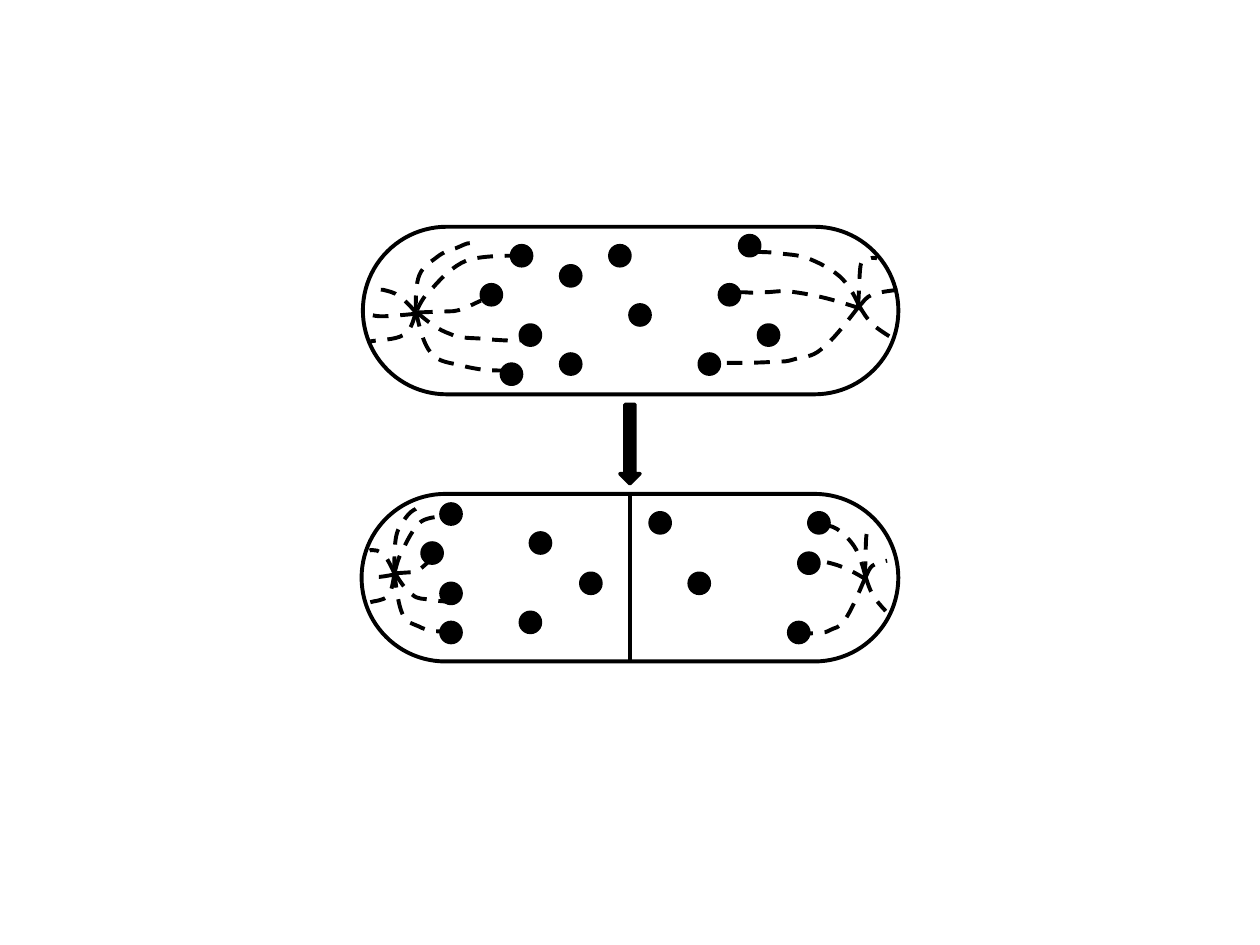
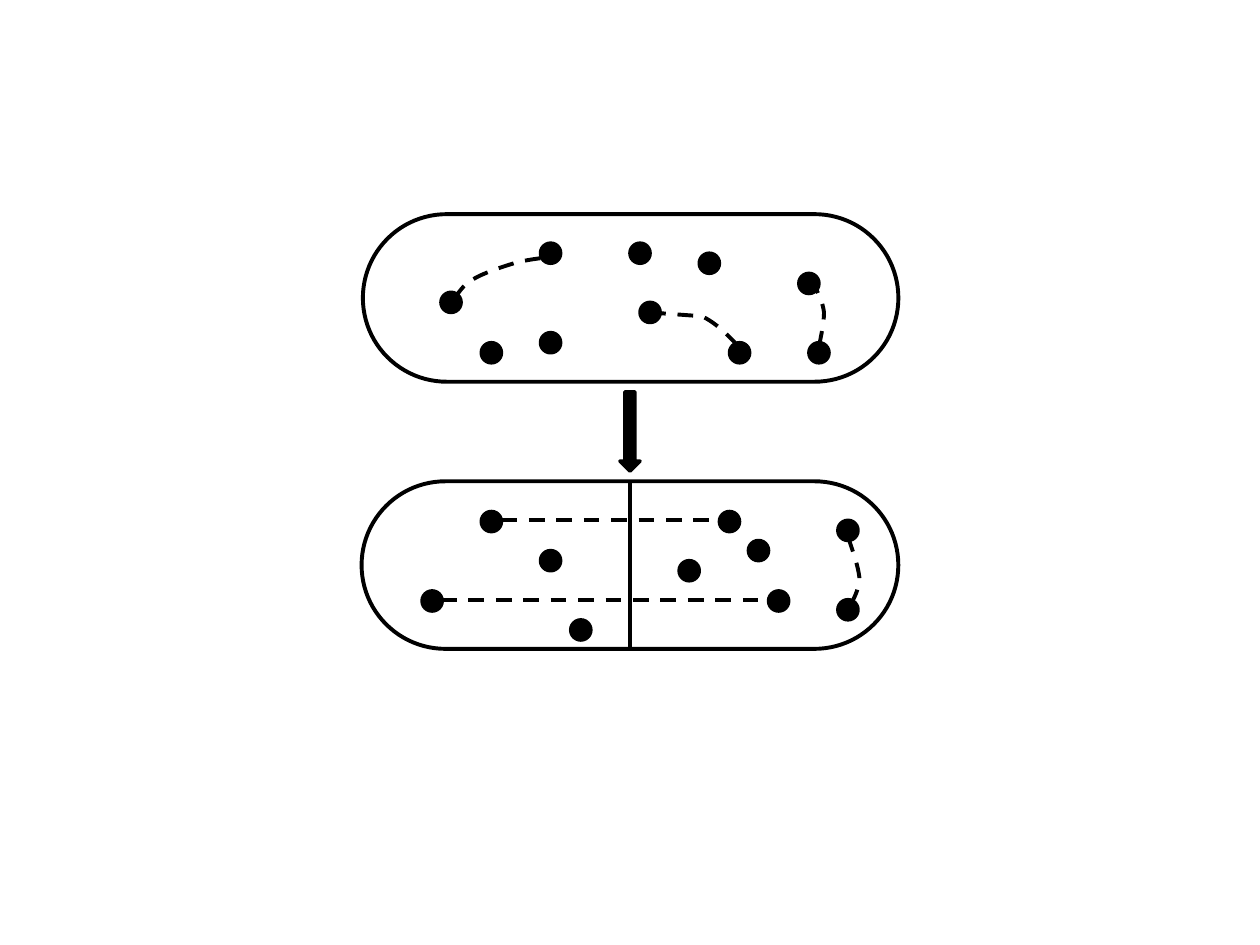
from pptx import Presentation
from pptx.dml.color import RGBColor
from pptx.enum.dml import MSO_LINE
from pptx.enum.shapes import MSO_CONNECTOR, MSO_SHAPE
from pptx.oxml.ns import qn
from pptx.util import Inches, Pt
from lxml.etree import SubElement

INK = "000000"
DOT = 0.16
CELL_HEIGHT = 1.33
UPPER_LEFT, UPPER_WIDTH = 2.88, 4.25
LOWER_LEFT, LOWER_WIDTH = 2.87, 4.26
LOWER_DROP = 2.12  # from the top of the upper cell to the top of the lower

# Each curve is a start point, then two control points and an end per segment.
# Rays are offsets from the pole they grow from.
LEFT_RAYS = [
    [(.01, -.02), (.04, -.08), (.07, -.14), (.14, -.2), (.2, -.27), (.3, -.37),
     (.4, -.41), (.51, -.45), (.71, -.45), (.78, -.45)],
    [(.01, 0), (.01, 0), (.3, -.01), (.3, -.01), (.39, -.02), (.53, -.11), (.52, -.09)],
    [(.01, 0), (.09, .07), (.18, .14), (.27, .17), (.35, .21), (.44, .2),
     (.54, .21), (.64, .22), (.81, .23), (.86, .22)],
    [(0, -.01), (.03, .12), (.06, .25), (.12, .32), (.18, .4), (.29, .4), (.36, .42),
     (.43, .44), (.5, .45), (.57, .46), (.64, .46), (.75, .46), (.78, .47)],
    [(0, -.01), (0, -.12), (0, -.23), (.03, -.3), (.06, -.37), (.12, -.4), (.17, -.44),
     (.22, -.48), (.28, -.5), (.32, -.51), (.37, -.53), (.4, -.55), (.43, -.55)],
    [(0, 0), (-.04, -.05), (-.09, -.1), (-.13, -.13), (-.17, -.16), (-.22, -.17),
     (-.26, -.18), (-.3, -.18), (-.35, -.19), (-.37, -.18)],
    [(0, .01), (-.1, .02), (-.21, .03), (-.27, .03), (-.34, .03), (-.38, .01), (-.39, .01)],
    [(0, 0), (-.02, .07), (-.04, .15), (-.1, .18), (-.16, .22), (-.32, .22), (-.36, .23)],
]
RIGHT_RAYS = [
    [(0, 0), (-.04, -.09), (-.09, -.18), (-.16, -.24), (-.23, -.3), (-.33, -.35), (-.41, -.38),
     (-.49, -.41), (-.58, -.41), (-.65, -.42), (-.72, -.43), (-.78, -.43), (-.84, -.43)],
    [(.01, .02), (-.11, -.02), (-.24, -.06), (-.34, -.08), (-.43, -.1), (-.51, -.11),
     (-.58, -.12), (-.65, -.12), (-.7, -.11), (-.75, -.11), (-.81, -.1), (-.91, -.11),
     (-.91, -.11), (-.91, -.11), (-.98, -.11), (-.98, -.11)],
    [(-.01, .01), (-.11, .14), (-.21, .27), (-.3, .34), (-.38, .41), (-.45, .4), (-.51, .42),
     (-.58, .44), (-.58, .44), (-.67, .44), (-.77, .45), (-.94, .45), (-1.1, .45)],
    [(-.01, 0), (0, -.13), (0, -.26), (.01, -.32), (.02, -.38), (.04, -.36),
     (.06, -.37), (.08, -.38), (.11, -.39), (.14, -.38)],
    [(0, 0), (.03, -.03), (.05, -.07), (.1, -.09), (.15, -.11), (.23, -.12), (.31, -.13)],
    [(0, 0), (.03, .05), (.06, .1), (.11, .15), (.16, .19), (.22, .23), (.29, .27)],
]

# Everything in a cell is measured from the cell's top left corner.
# Asters: rays, pole, horizontal scale. Dots: top left corners.
ASTER_UPPER = {
    "asters": [(LEFT_RAYS, (.42, .68), 1), (RIGHT_RAYS, (3.94, .63), 1)],
    "dots": [(1.18, .15), (.94, .46), (1.25, .78), (1.1, 1.09), (1.57, 1.01), (2.12, .62),
             (2.83, .46), (3.14, .78), (2.67, 1.01), (2.99, .07), (1.96, .15), (1.57, .31)],
}
ASTER_LOWER = {
    "asters": [(LEFT_RAYS, (.26, .63), .53), (RIGHT_RAYS, (4, .66), .55)],
    "dots": [(.63, .08), (.48, .39), (.63, .71), (.63, 1.02), (3.55, .15), (3.47, .47),
             (3.39, 1.02), (2.6, .63), (2.29, .15), (1.34, .31), (1.74, .63), (1.26, .94)],
}
LINKED_UPPER = {
    "curves": [
        [(.73, .67), (.76, .62), (.8, .56), (.87, .52), (.95, .47), (1.1, .42),
         (1.2, .39), (1.31, .36), (1.4, .35), (1.5, .34)],
        [(2.28, .78), (2.28, .78), (2.69, .81), (2.69, .81), (2.8, .86), (2.9, .96), (2.99, 1.06)],
        [(3.62, 1.05), (3.64, .95), (3.66, .86), (3.66, .78), (3.65, .7), (3.62, .64), (3.59, .58)],
    ],
    "dots": [(.62, .62), (1.41, .94), (1.41, .23), (2.2, .7), (2.91, 1.02),
             (2.67, .31), (3.54, 1.02), (3.46, .47), (2.12, .23), (.94, 1.02)],
}
LINKED_LOWER = {
    "curves": [
        [(3.86, .44), (3.9, .56), (3.94, .67), (3.95, .76), (3.95, .84), (3.92, .91), (3.88, .98)],
    ],
    "bridges": [(1.11, 2.84, .31), (.63, 3.23, .94)],
    "dots": [(.95, .24), (2.84, .24), (3.23, .87), (.48, .87), (2.52, .63),
             (1.42, .55), (1.66, 1.1), (3.07, .47), (3.78, .31), (3.78, .94)],
}


def color(value):
    return RGBColor.from_string(value)


def style_line(line, width=2.25, dashed=False):
    line.color.rgb = color(INK)
    line.width = Pt(width)
    if dashed:
        line.dash_style = MSO_LINE.DASH


def add_preset(shapes, preset, left, top, width, height, filled=True):
    shape = shapes.add_shape(preset, Inches(left), Inches(top), Inches(width), Inches(height))
    shape.shadow.inherit = False
    if filled:
        shape.fill.solid()
        shape.fill.fore_color.rgb = color(INK)
    else:
        shape.fill.background()
    style_line(shape.line, 2 if filled else 2.25)
    return shape


def add_line(shapes, x1, y1, x2, y2, dashed=False):
    line = shapes.add_connector(MSO_CONNECTOR.STRAIGHT, Inches(x1), Inches(y1),
                                Inches(x2), Inches(y2))
    style_line(line.line, dashed=dashed)
    SubElement(line._element.spPr, qn("a:effectLst"))


def add_curve(shapes, left, top, points, scale=1):
    """Draw a dashed Bezier curve with its points measured from left, top."""
    places = [(Inches(left + x * scale), Inches(top + y)) for x, y in points]
    builder = shapes.build_freeform(*places[0])
    builder.add_line_segments(places[1:], close=False)
    shape = builder.convert_to_shape()
    # Merge every three line segments into one cubic segment
    segments = list(shape._element.iter(qn("a:lnTo")))
    for first, second, third in zip(segments[::3], segments[1::3], segments[2::3]):
        cubic = SubElement(first.getparent(), qn("a:cubicBezTo"))
        for segment in (first, second, third):
            cubic.append(segment[0])
            segment.getparent().remove(segment)
    shape.shadow.inherit = False
    shape.fill.background()
    style_line(shape.line, dashed=True)


def add_cell(shapes, left, top, width, content, divided=False):
    # Membrane and dividing wall
    outline = add_preset(shapes, MSO_SHAPE.ROUNDED_RECTANGLE, left, top, width,
                         CELL_HEIGHT, filled=False)
    outline.adjustments[0] = 0.5
    if divided:
        middle = left + width / 2
        add_line(shapes, middle, top, middle, top + CELL_HEIGHT)
    # Asters and links
    for rays, (x, y), scale in content.get("asters", []):
        for ray in rays:
            add_curve(shapes, left + x, top + y, ray, scale)
    for curve in content.get("curves", []):
        add_curve(shapes, left, top, curve)
    for start, end, y in content.get("bridges", []):
        add_line(shapes, left + start, top + y, left + end, top + y, dashed=True)
    # Dots
    for x, y in content["dots"]:
        add_preset(shapes, MSO_SHAPE.OVAL, left + x, top + y, DOT, DOT)


def add_division_slide(presentation, top, upper, lower):
    slide = presentation.slides.add_slide(presentation.slide_layouts[6])
    shapes = slide.shapes.add_group_shape().shapes
    add_cell(shapes, UPPER_LEFT, top, UPPER_WIDTH, upper)
    add_preset(shapes, MSO_SHAPE.DOWN_ARROW, 4.92, top + 1.41, 0.16, 0.63)
    add_cell(shapes, LOWER_LEFT, top + LOWER_DROP, LOWER_WIDTH, lower, divided=True)


presentation = Presentation()
presentation.slide_width = Inches(10)
presentation.slide_height = Inches(7.5)
add_division_slide(presentation, 1.8, ASTER_UPPER, ASTER_LOWER)
add_division_slide(presentation, 1.7, LINKED_UPPER, LINKED_LOWER)
presentation.save("out.pptx")
